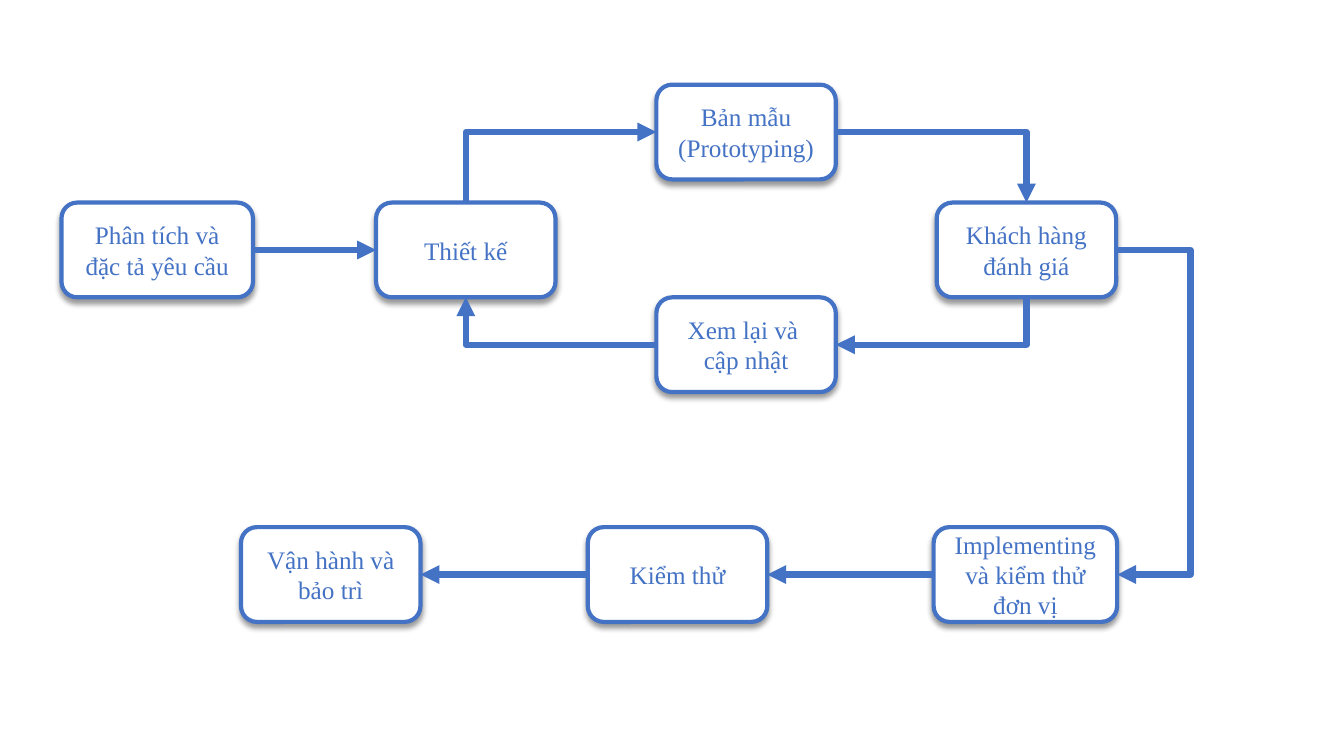
import lxml.etree
import pptx
import pptx.dml.color
import pptx.enum.shapes
import pptx.enum.text
import pptx.oxml.ns
import pptx.util

BLUE, WHITE, BLACK = "4472C4", "FFFFFF", "000000"
FONT = "Times New Roman"
BOX_WIDTH, BOX_HEIGHT = 1.78, 0.94
TOP_ROW, MIDDLE_ROW, REVIEW_ROW, BOTTOM_ROW = 0.84, 2.01, 2.95, 5.23
LOOP_LEFT, LOOP_STEP = 3.73, 2.78
TOP, LEFT, BOTTOM, RIGHT = range(4)
DETOUR = 0.75  # how far the outer arrow runs beyond the boxes

# name: (text, left, top, width)
BOXES = {
    "analysis": ("Phân tích và đặc tả yêu cầu", 0.61, MIDDLE_ROW, 1.9),
    "design": ("Thiết kế", LOOP_LEFT, MIDDLE_ROW, BOX_WIDTH),
    "prototype": ("Bản mẫu\n(Prototyping)", LOOP_LEFT + LOOP_STEP, TOP_ROW, BOX_WIDTH),
    "customer": ("Khách hàng đánh giá", LOOP_LEFT + 2 * LOOP_STEP, MIDDLE_ROW, BOX_WIDTH),
    "review": ("Xem lại và \vcập nhật", LOOP_LEFT + LOOP_STEP, REVIEW_ROW, BOX_WIDTH),
    "implementing": ("Implementing và kiểm thử đơn vị", 9.26, BOTTOM_ROW, 1.82),
    "testing": ("Kiểm thử", 5.83, BOTTOM_ROW, BOX_WIDTH),
    "operation": ("Vận hành và bảo trì", 2.39, BOTTOM_ROW, BOX_WIDTH),
}

# (from box, side, to box, side, preset)
ARROWS = [
    ("analysis", RIGHT, "design", LEFT, "line"),
    ("design", TOP, "prototype", LEFT, "bentConnector2"),
    ("prototype", RIGHT, "customer", TOP, "bentConnector2"),
    ("customer", BOTTOM, "review", RIGHT, "bentConnector2"),
    ("review", LEFT, "design", BOTTOM, "bentConnector2"),
    ("customer", RIGHT, "implementing", RIGHT, "bentConnector3"),
    ("implementing", LEFT, "testing", RIGHT, "line"),
    ("testing", LEFT, "operation", RIGHT, "line"),
]


def color(value):
    return pptx.dml.color.RGBColor.from_string(value)


def add_element(parent, tag, **attributes):
    element = lxml.etree.SubElement(parent, pptx.oxml.ns.qn(tag))
    for name, value in attributes.items():
        element.set(name, str(value))
    return element


def add_shadow(shape):
    shape.shadow.inherit = False
    effects = shape._element.spPr.find(pptx.oxml.ns.qn("a:effectLst"))
    shadow = add_element(effects, "a:outerShdw", blurRad=pptx.util.Pt(4),
                         dist=pptx.util.Pt(3), dir=90 * 60000, rotWithShape=0)
    add_element(add_element(shadow, "a:srgbClr", val=BLACK), "a:alpha", val=40000)


def add_box(slide, text, left, top, width):
    shape = slide.shapes.add_shape(
        pptx.enum.shapes.MSO_SHAPE.ROUNDED_RECTANGLE,
        *(pptx.util.Inches(length) for length in (left, top, width, BOX_HEIGHT)))
    shape.fill.solid()
    shape.fill.fore_color.rgb = color(WHITE)
    shape.line.color.rgb = color(BLUE)
    shape.line.width = pptx.util.Pt(3)
    add_shadow(shape)
    frame = shape.text_frame
    frame.text = text
    frame.word_wrap = True
    frame.vertical_anchor = pptx.enum.text.MSO_ANCHOR.MIDDLE
    for paragraph in frame.paragraphs:
        paragraph.alignment = pptx.enum.text.PP_ALIGN.CENTER
        paragraph.font.name = FONT
        paragraph.font.size = pptx.util.Pt(18)
        paragraph.font.color.rgb = color(BLUE)
    return shape


def turn_vertical_first(connector):
    """Rotate a one-bend connector so that it leaves its box vertically."""
    going_down = connector.end_y > connector.begin_y
    left, top = connector.left, connector.top
    width, height = connector.width, connector.height
    connector.left = left + (width - height) // 2
    connector.top = top + (height - width) // 2
    connector.width, connector.height = height, width
    transform = connector._element.spPr.xfrm
    for flip in ("flipH", "flipV"):
        transform.attrib.pop(flip, None)
    transform.set("rot", str((90 if going_down else 270) * 60000))


def add_arrow(slide, start, start_side, end, end_side, preset):
    kinds = pptx.enum.shapes.MSO_CONNECTOR
    kind = kinds.STRAIGHT if preset == "line" else kinds.ELBOW
    connector = slide.shapes.add_connector(kind, 0, 0, 0, 0)
    connector.begin_connect(start, start_side)
    connector.end_connect(end, end_side)
    connector.line.color.rgb = color(BLUE)
    connector.line.width = pptx.util.Pt(4.5)
    add_element(connector.line._get_or_add_ln(), "a:tailEnd", type="triangle")
    properties = connector._element.spPr
    add_element(properties, "a:effectLst")

    geometry = properties.find(pptx.oxml.ns.qn("a:prstGeom"))
    geometry.set("prst", preset)
    if preset == "bentConnector2" and start_side in (TOP, BOTTOM):
        turn_vertical_first(connector)
    elif preset == "bentConnector3":
        connector.end_x = connector.begin_x + pptx.util.Inches(0.01)
        bend = round(pptx.util.Inches(DETOUR) / connector.width * 100000)
        guides = geometry.find(pptx.oxml.ns.qn("a:avLst"))
        add_element(guides, "a:gd", name="adj1", fmla=f"val {bend}")


def main():
    presentation = pptx.Presentation()
    presentation.slide_width = pptx.util.Inches(13.33)
    presentation.slide_height = pptx.util.Inches(7.5)
    slide = presentation.slides.add_slide(presentation.slide_layouts[6])
    boxes = {name: add_box(slide, *box) for name, box in BOXES.items()}
    for start, start_side, end, end_side, preset in ARROWS:
        add_arrow(slide, boxes[start], start_side, boxes[end], end_side, preset)
    presentation.save("out.pptx")


if __name__ == "__main__":
    main()
